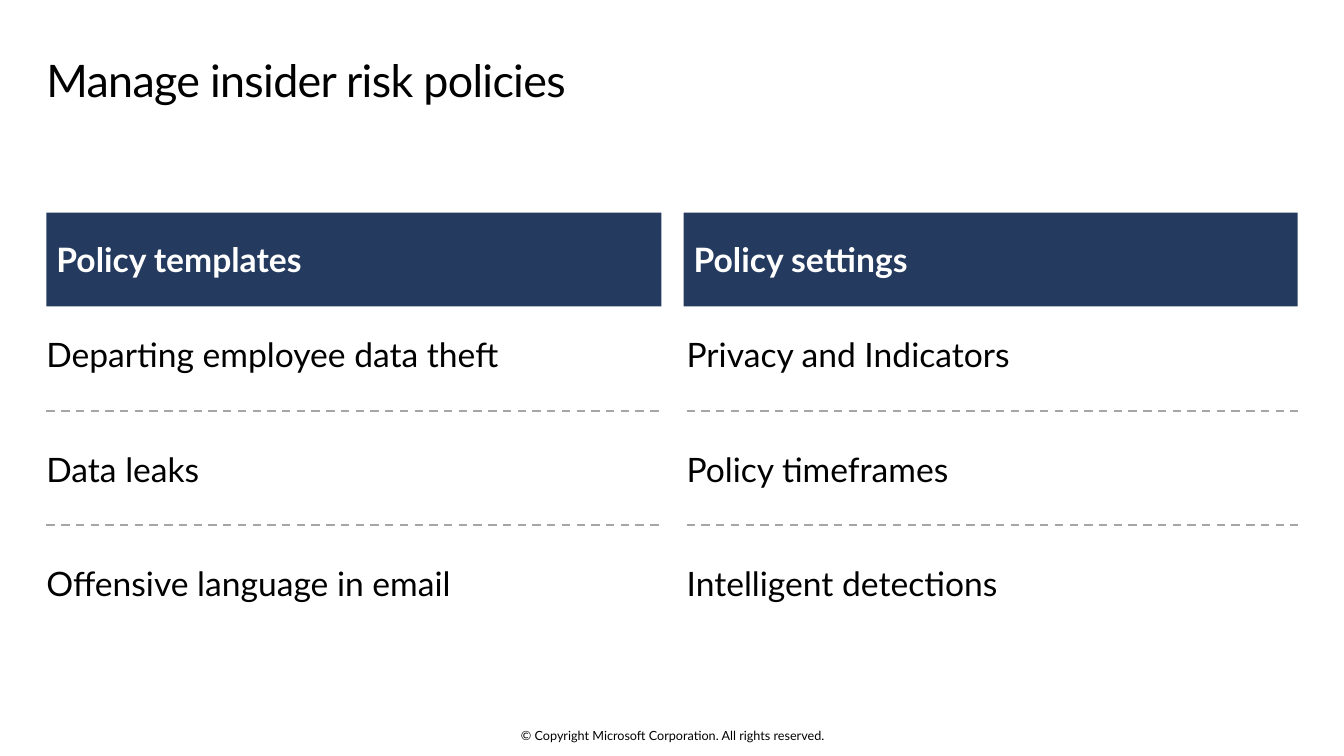
from lxml.etree import SubElement
from pptx import Presentation
from pptx.dml.color import RGBColor
from pptx.enum.dml import MSO_LINE as Dash
from pptx.enum.shapes import MSO_CONNECTOR as Connector
from pptx.enum.text import MSO_ANCHOR as Anchor, MSO_AUTO_SIZE as AutoSize, PP_ALIGN as Align
from pptx.oxml.ns import qn
from pptx.util import Inches, Pt

NAVY = RGBColor(0x24, 0x3A, 0x5E)
GREY = RGBColor(0xA6, 0xA6, 0xA6)
BLACK = RGBColor(0, 0, 0)
WHITE = RGBColor(0xFF, 0xFF, 0xFF)

TITLE_FONT = {"name": "Lato", "size": Pt(32), "bold": False}
HEADING_FONT = {"name": "Lato", "size": Pt(24), "bold": True}
TOPIC_FONT = {"name": "Lato", "size": Pt(24), "bold": False}
FOOTER_FONT = {"name": "Lato", "size": Pt(9), "bold": False}

LIST_TOP, LIST_HEIGHT = 3.09, 3.12
RULE_TOP, RULE_PITCH = 4.08, 1.13
TOPIC_GAP = Pt(53)

COLUMNS = [
    {"heading": "Policy templates", "heading_left": 0.46, "left": 0.46, "right": 6.56,
     "topics": ["Departing employee data theft", "Data leaks", "Offensive language in email"]},
    {"heading": "Policy settings", "heading_left": 6.78, "left": 6.81, "right": 12.87,
     "topics": ["Privacy and Indicators", "Policy timeframes", "Intelligent detections"]},
]


def apply_format(target, values):
    for attribute, value in values.items():
        setattr(target, attribute, value)


def place(box, left, top, width, height):
    apply_format(box, {"left": Inches(left), "top": Inches(top),
                       "width": Inches(width), "height": Inches(height)})


def write_text(box, lines, font, color, anchor=Anchor.MIDDLE, align=Align.LEFT,
               insets=(0, 0, 0, 0), gap=Pt(0), line_spacing=1.0):
    frame = box.text_frame
    left, top, right, bottom = map(Inches, insets)
    apply_format(frame, {"word_wrap": True, "auto_size": AutoSize.NONE, "vertical_anchor": anchor,
                         "margin_left": left, "margin_top": top,
                         "margin_right": right, "margin_bottom": bottom})
    frame.text = "\n".join(lines)
    for position, paragraph in enumerate(frame.paragraphs):
        apply_format(paragraph, {"alignment": align, "line_spacing": line_spacing,
                                 "space_before": gap if position else Pt(0),
                                 "space_after": Pt(0)})
        properties = paragraph._p.get_or_add_pPr()
        properties.set("marL", "0")
        properties.set("indent", "0")
        SubElement(properties, qn("a:buNone"))
        for run in paragraph.runs:
            apply_format(run.font, font)
            run.font.color.rgb = color


def add_title(slide, text):
    title = slide.shapes.title
    place(title, 0.46, 0.48, 12.4, 0.74)
    write_text(title, [text], TITLE_FONT, BLACK, anchor=Anchor.TOP,
               insets=(0, 0.1, 0.16, 0.1), line_spacing=0.9)
    title.text_frame.paragraphs[0].runs[0].font._element.set("spc", "-50")


def add_rule(slide, left, right, top):
    rule = slide.shapes.add_connector(Connector.STRAIGHT, Inches(left), Inches(top),
                                      Inches(right), Inches(top))
    rule.line.color.rgb = GREY
    apply_format(rule.line, {"width": Pt(1.5), "dash_style": Dash.DASH})
    SubElement(rule._element.spPr, qn("a:effectLst"))


def add_column(slide, heading, topic_list, column):
    left, right = column["left"], column["right"]
    place(heading, column["heading_left"], 2.11, right - column["heading_left"], 0.93)
    heading.fill.solid()
    heading.fill.fore_color.rgb = NAVY
    write_text(heading, [column["heading"]], HEADING_FONT, WHITE, insets=(0.1,) * 4)

    place(topic_list, left, LIST_TOP, right - left, LIST_HEIGHT)
    write_text(topic_list, column["topics"], TOPIC_FONT, BLACK, gap=TOPIC_GAP)
    for row in range(len(column["topics"]) - 1):
        add_rule(slide, left, right, RULE_TOP + row * RULE_PITCH)


def add_footer(slide, text):
    footer = slide.shapes.add_textbox(Inches(4.42), Inches(7.22), Inches(4.5), Inches(0.15))
    write_text(footer, [text], FOOTER_FONT, BLACK, align=Align.CENTER)


def main():
    deck = Presentation()
    apply_format(deck, {"slide_width": Inches(13.33), "slide_height": Inches(7.5)})
    comparison = deck.slide_layouts.get_by_name("Comparison")
    slide = deck.slides.add_slide(comparison)
    add_title(slide, "Manage insider risk policies")
    _, *bodies = slide.placeholders
    for heading, topic_list, column in zip(bodies[::2], bodies[1::2], COLUMNS):
        add_column(slide, heading, topic_list, column)
    add_footer(slide, "© Copyright Microsoft Corporation. All rights reserved.")
    deck.save("out.pptx")


if __name__ == "__main__":
    main()
